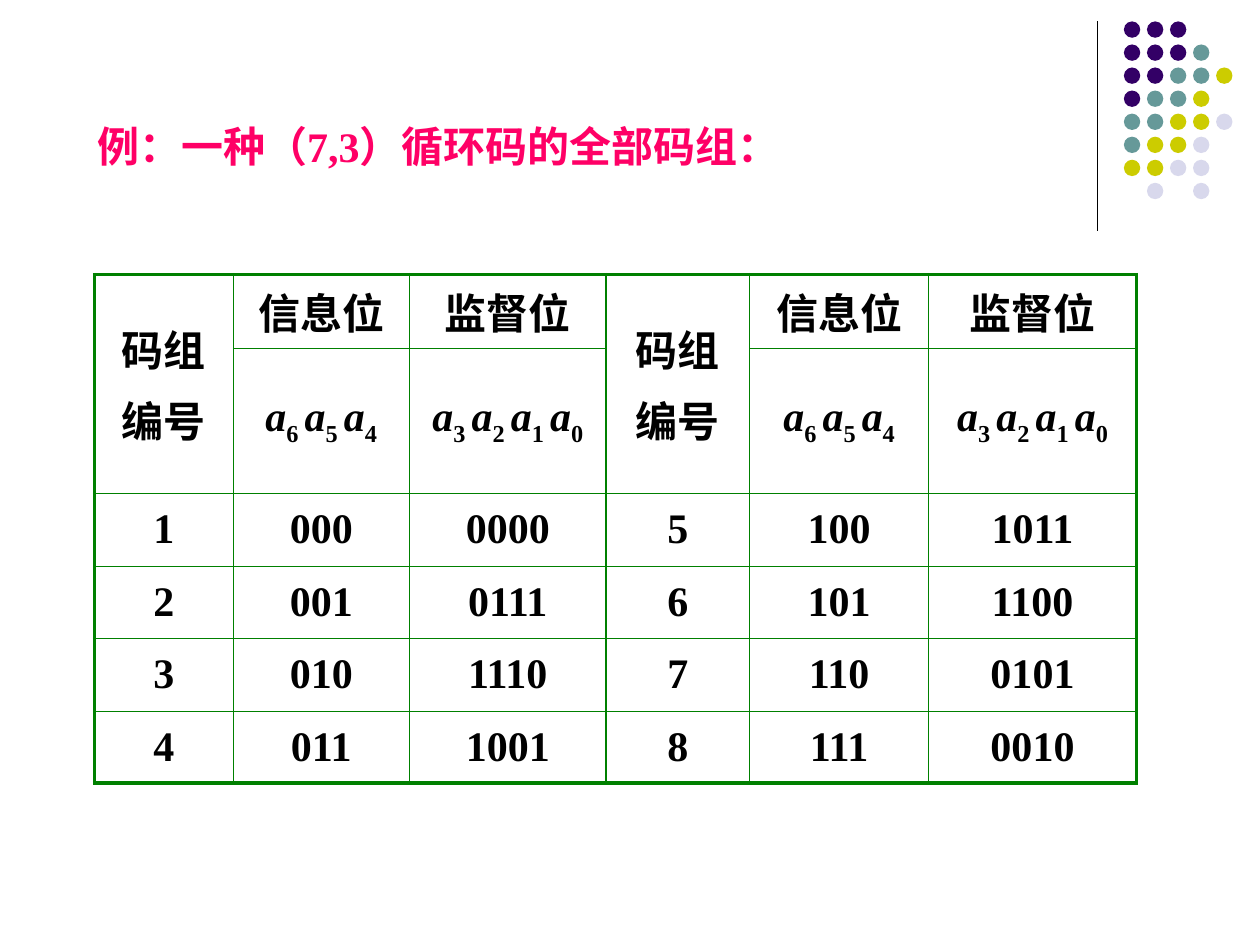
"""Build the slide listing every code group of a (7,3) cyclic code."""
from dataclasses import dataclass

from lxml.etree import SubElement
from pptx import Presentation
from pptx.dml.color import RGBColor
from pptx.enum.shapes import MSO_CONNECTOR as CONN, MSO_SHAPE as SHAPE
from pptx.enum.text import MSO_ANCHOR as ANCHOR, MSO_AUTO_SIZE as AUTO, PP_ALIGN as ALIGN
from pptx.oxml.ns import qn
from pptx.util import Inches, Pt

COLS, ROWS = 100, 75


@dataclass(frozen=True)
class Theme:
    ink: str = "000000"
    title: str = "FF0066"
    border: str = "008000"
    dots: tuple = ("330066", "669999", "CCCC00", "D8D8EC")
    size: int = 24
    gap: int = 6
    latin: str = "Times New Roman"
    head: str = "Arial"
    thin: float = 0.45
    middle: float = 1.47
    thick: float = 2.21
    rule: float = 0.75


def add_run(p, text, font, size, color, italic=False, sub=False):
    r = p.add_run()
    r.text = text
    r.font.name, r.font.size = font, Pt(size)
    r.font.bold, r.font.italic = True, italic
    r.font.color.rgb = RGBColor.from_string(color)
    if sub:
        r._r.get_or_add_rPr().set("baseline", "-25000")


def bits(digits):
    runs = []
    for i, digit in enumerate(digits, 1):
        tail = " " if i < len(digits) else ""
        runs += [("a", {"italic": True}), (digit + tail, {"sub": True})]
    return runs


class Deck:
    def __init__(self, theme):
        self.t = theme
        self.prs = Presentation()
        self.prs.slide_width, self.prs.slide_height = Inches(10), Inches(7.5)
        self.s = self.prs.slides.add_slide(self.prs.slide_layouts[5])

    def x(self, cols):
        return round(self.prs.slide_width * cols / COLS)

    def y(self, rows):
        return round(self.prs.slide_height * rows / ROWS)

    def box(self, left, top, width, height):
        return self.x(left), self.y(top), self.x(width), self.y(height)

    def title(self, text, *at):
        sp = self.s.shapes.title
        sp.left, sp.top, sp.width, sp.height = self.box(*at)
        tf = sp.text_frame
        tf.word_wrap, tf.auto_size = False, AUTO.NONE
        tf.vertical_anchor = ANCHOR.TOP
        p = tf.paragraphs[0]
        p.alignment = ALIGN.LEFT
        add_run(p, text, self.t.latin, self.t.size, self.t.title)

    def vline(self, col, top, bottom):
        x = self.x(col)
        ln = self.s.shapes.add_connector(CONN.STRAIGHT, x, self.y(top), x, self.y(bottom))
        ln.line.color.rgb = RGBColor.from_string(self.t.ink)
        ln.line.width = Pt(self.t.rule)
        SubElement(ln._element.spPr, qn("a:effectLst"))

    def dots(self, pattern, left, top, pitch, size):
        group = self.s.shapes.add_group_shape()
        for row, marks in enumerate(pattern):
            for col, mark in enumerate(marks):
                if mark == " ":
                    continue
                at = self.box(left + col * pitch, top + row * pitch, size, size)
                sp = group.shapes.add_shape(SHAPE.OVAL, *at)
                sp.shadow.inherit = False
                sp.fill.solid()
                sp.fill.fore_color.rgb = RGBColor.from_string(self.t.dots[int(mark)])
                sp.line.fill.background()

    def borders(self, cell, **widths):
        tcPr = cell._tc.get_or_add_tcPr()
        for side, width in widths.items():
            ln = SubElement(tcPr, qn(f"a:ln{side}"), w=str(Pt(width)))
            SubElement(SubElement(ln, qn("a:solidFill")), qn("a:srgbClr"), val=self.t.border)

    def fill_cell(self, cell, paras, font):
        cell.vertical_anchor = ANCHOR.MIDDLE
        tf = cell.text_frame
        for i, runs in enumerate(paras):
            p = tf.add_paragraph() if i else tf.paragraphs[0]
            p.alignment = ALIGN.CENTER
            p.space_before = Pt(self.t.gap if i else 0)
            for text, style in runs:
                add_run(p, text, font, self.t.size, self.t.ink, **style)

    def table(self, data, left, top, widths, heights, split, merged):
        t = self.t
        n, m = len(heights), len(widths)
        at = self.box(left, top, sum(widths), sum(heights))
        tbl = self.s.shapes.add_table(n, m, *at).table
        tbl.first_row = tbl.horz_banding = False
        for col, width in zip(tbl.columns, widths):
            col.width = self.x(width)
        for row, height in zip(tbl.rows, heights):
            row.height = self.y(height)
        edge_x = {0: t.thick, split: t.middle, m: t.thick}
        edge_y = {0: t.thick, n: t.thick}
        for i, row in enumerate(data):
            for j, paras in enumerate(row):
                cell = tbl.cell(i, j)
                self.borders(cell, L=edge_x.get(j, t.thin), R=edge_x.get(j + 1, t.thin),
                             T=edge_y.get(i, t.thin), B=edge_y.get(i + 1, t.thin))
                cell.fill.background()
                self.fill_cell(cell, paras, t.latin if i else t.head)
        for j in merged:
            tbl.cell(0, j).merge(tbl.cell(1, j))


def plain(*lines):
    return [[(line, {})] for line in lines]


def main():
    deck = Deck(Theme())
    deck.vline(87.1, 1.7, 18.3)
    pattern = ["000", "0001", "00112", "0112", "11223", "1223", "2233", " 3 3"]
    deck.dots(pattern, 89.2, 1.7, 1.83, 1.3)
    deck.title("例：一种（7,3）循环码的全部码组：", 6.7, 9.1, 64.8, 5)

    codes = ["000 0000", "001 0111", "010 1110", "011 1001",
             "100 1011", "101 1100", "110 0101", "111 0010"]
    entries = [plain_row(i, code) for i, code in enumerate(codes, 1)]
    half = len(entries) // 2
    data = [[plain("码组", "编号"), plain("信息位"), plain("监督位")] * 2,
            [[], [bits("654")], [bits("3210")]] * 2]
    data += [a + b for a, b in zip(entries[:half], entries[half:])]
    deck.table(data, 7.5, 21.8, [11, 14, 15.6, 11.4, 14.2, 16.5],
               [5.8, 9.9, 5.8, 5.7, 5.8, 5.7], split=3, merged=(0, 3))
    deck.prs.save("out.pptx")


def plain_row(number, code):
    return [plain(text) for text in (str(number), *code.split())]


if __name__ == "__main__":
    main()
